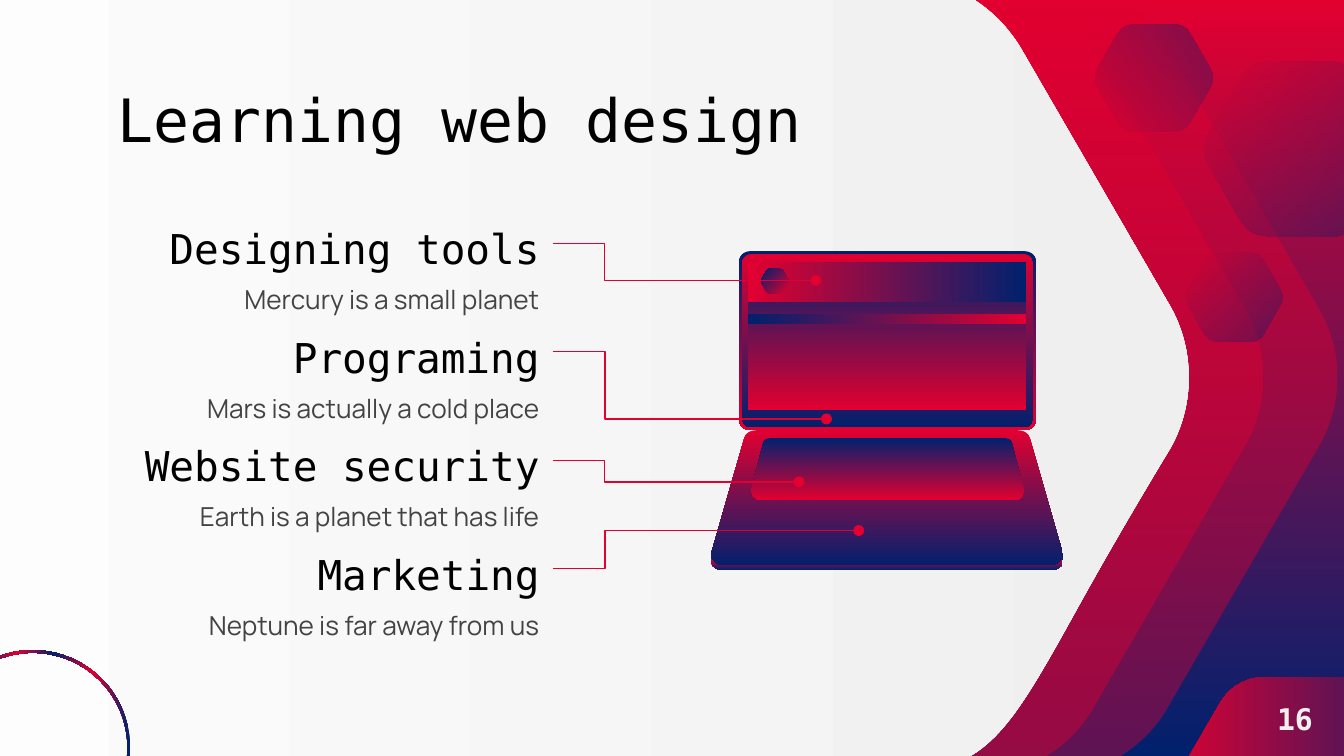
"""Build the "Learning web design" slide: a laptop diagram with four labelled parts."""
from lxml.etree import SubElement
from pptx import Presentation
from pptx.dml.color import RGBColor
from pptx.enum.shapes import MSO_CONNECTOR, MSO_SHAPE
from pptx.enum.text import MSO_ANCHOR, MSO_AUTO_SIZE, PP_ALIGN
from pptx.oxml.ns import qn
from pptx.util import Cm, Pt

RED = RGBColor(0xE2, 0x00, 0x30)
NAVY = RGBColor(0x00, 0x21, 0x6E)
WHITE = RGBColor(0xFF, 0xFF, 0xFF)
PALE = RGBColor(0xEF, 0xEF, 0xEF)
BLACK = RGBColor(0x00, 0x00, 0x00)
GREY = RGBColor(0x43, 0x43, 0x43)
MONO, SANS = "DejaVu Sans Mono", "Manrope"

WIDTH, HEIGHT = 25.4, 14.29
TITLE = "Learning web design"
PAGE_NUMBER = "16"
TOPICS = [
    ("Designing tools", "Mercury is a small planet", (15.42, 5.3)),
    ("Programing", "Mars is actually a cold place", (15.62, 7.92)),
    ("Website security", "Earth is a planet that has life", (15.1, 9.11)),
    ("Marketing", "Neptune is far away from us", (16.23, 10.03)),
]
TOPIC_LEFT, TOPIC_TOP, TOPIC_WIDTH = 1.98, 4.09, 8.47
TOPIC_STEP, ROW_HEIGHT, ELBOW_X = 2.05, 1.02, 11.43

TITLE_FORMAT = {"size": Pt(32), "name": MONO, "bold": False}
HEADING_FORMAT = {"size": Pt(22), "name": MONO}
DETAIL_FORMAT = {"size": Pt(14), "name": SANS}
NUMBER_FORMAT = {"size": Pt(16), "name": MONO, "bold": True}

HEXAGON = [
    [(33.1, 0)], [(27.5, 0), (22.4, 3.4), (19.5, 8.9)], [(2.7, 41.2)],
    [(0, 46.6), (0, 53.4), (2.7, 58.8)], [(7, 66.7), (10.3, 73.1), (12.9, 78.3)],
    [(22.5, 97.6), (23.8, 100), (39.3, 100)], [(66.7, 100)],
    [(72.3, 100), (77.6, 96.6), (80.3, 91.1)], [(97.1, 58.8)],
    [(100, 53.4), (100, 46.6), (97.1, 41.2)], [(80.3, 8.9)],
    [(77.6, 3.4), (72.3, 0), (66.7, 0)],
]
BASE_SIDE = [[(3.4, 100)], [(1.1, 100), (0, 95), (0.4, 91)], [(9.8, 5.9)],
             [(10.2, 2), (11.7, 0), (13.6, 0)]]
KEYS_SIDE = [[(3.4, 100)], [(1, 100), (0, 91), (0.2, 82.6)], [(4.4, 10.9)],
             [(4.4, 4), (5.9, 0), (7.4, 0)]]
LIP_SIDE = [[(3.4, 100)], [(1.1, 100), (0, 56), (0.4, 11)],
            [(0.8, 44), (1.9, 67), (3.4, 67)]]

RED_NAVY = [(0, RED), (100, NAVY)]
NAVY_RED = [(0, NAVY), (100, RED)]
RING = [(0, NAVY), (19, RED), (39, NAVY), (58, RED), (78, NAVY), (100, RED)]

CHEVRONS = [(8.61, -0.41, 16.79, 15.09), (7.21, -0.41, 16.79, 15.09)]
PANEL, PANEL_STRETCH = (5.79, -0.41, 16.79, 15.09), 10.59
NUMBER_TAB = (21.87, 12.8, 6.1, 5.46)
HEXAGONS = [((22.73, 1.17, 3.68, 3.3), 45, False), ((20.68, 0.46, 2.26, 2.03), 315, True),
            ((22.4, 4.78, 1.85, 1.68), 45, False)]
RING_FRAME = (-1.22, 12.29, 3.68, 3.68)
SCREEN = [
    (MSO_SHAPE.ROUNDED_RECTANGLE, (13.97, 4.75, 5.61, 3.38), NAVY_RED, 90),
    (MSO_SHAPE.ROUNDED_RECTANGLE, (14.02, 4.8, 5.51, 3.28), RED_NAVY, 90),
    (MSO_SHAPE.RECTANGLE, (14.14, 4.95, 5.25, 2.81), NAVY_RED, 90),
    (MSO_SHAPE.RECTANGLE, (14.14, 4.95, 5.25, 0.76), RED_NAVY, 0),
    (MSO_SHAPE.RECTANGLE, (14.14, 5.93, 5.25, 0.19), RED_NAVY, 180),
]
LOGO_HEXAGON = (14.38, 5.08, 0.53, 0.47)
LAPTOP_BODY = [
    (BASE_SIDE, (13.41, 8.13, 6.71, 2.59), RED_NAVY),
    (KEYS_SIDE, (14.19, 8.28, 5.17, 1.17), NAVY_RED),
    (LIP_SIDE, (13.42, 10.54, 6.69, 0.23), RED_NAVY),
]


def flip(segments, across=False, down=False):
    return [[(100 - x if across else x, 100 - y if down else y) for x, y in segment]
            for segment in segments]


def complete(side):
    """Add the mirrored right half to a left half drawn from bottom to top."""
    points = [point for segment in flip(side, across=True) for point in segment]
    sizes = [1] + [len(segment) for segment in side[:0:-1]]
    remaining = iter(points[::-1])
    return side + [[next(remaining) for _ in range(size)] for size in sizes]


def set_gradient(fill, element, stops, angle, alpha=100):
    fill.gradient()
    gradient = next(element.iter(qn("a:gradFill")))
    for child in list(gradient):
        gradient.remove(child)
    stop_list = SubElement(gradient, qn("a:gsLst"))
    for position, color in stops:
        stop = SubElement(stop_list, qn("a:gs"), pos=str(position * 1000))
        tint = SubElement(stop, qn("a:srgbClr"), val=str(color))
        if alpha < 100:
            SubElement(tint, qn("a:alpha"), val=str(alpha * 1000))
    SubElement(gradient, qn("a:lin"), ang=str(angle * 60000), scaled="0")


def paint(shape, stops, angle, alpha=100):
    shape.shadow.inherit = False
    shape.line.fill.background()
    set_gradient(shape.fill, shape.element, stops, angle, alpha)


def bend_lines(shape, segments):
    """Join each three lines that stand for a curve into one Bezier curve."""
    route = next(shape.element.iter(qn("a:path")))
    lines = iter(route.findall(qn("a:lnTo")))
    for segment in segments[1:]:
        parts = [next(lines) for _ in segment]
        if len(parts) == 3:
            curve = route.makeelement(qn("a:cubicBezTo"))
            route.replace(parts[0], curve)
            for part in parts:
                curve.append(part[0])
            for part in parts[1:]:
                route.remove(part)


def add_outline(page, segments, frame, stops, angle, alpha=100, stretch=0):
    left, top, width, height = frame
    corners = [(Cm(left + x * width / 100 - (stretch if x < 50 else 0)),
                Cm(top + y * height / 100)) for segment in segments for x, y in segment]
    builder = page.shapes.build_freeform(*corners[0])
    builder.add_line_segments(corners[1:], close=True)
    shape = builder.convert_to_shape()
    bend_lines(shape, segments)
    paint(shape, stops, angle, alpha)


def add_preset(page, kind, frame, stops, angle, adjustment=None):
    shape = page.shapes.add_shape(kind, *map(Cm, frame))
    if adjustment is not None:
        shape.adjustments[0] = adjustment
    paint(shape, stops, angle)


def write(box, text, font, color, para_format, anchor=MSO_ANCHOR.TOP):
    frame = box.text_frame
    frame_format = {"word_wrap": True, "auto_size": MSO_AUTO_SIZE.NONE, "vertical_anchor": anchor}
    for side in ("left", "right", "top", "bottom"):
        frame_format["margin_" + side] = Cm(0.25)
    para = frame.paragraphs[0]
    span = para.add_run()
    span.text = text
    span.font.color.rgb = color
    for target, values in ((frame, frame_format), (para, para_format), (span.font, font)):
        for name, value in values.items():
            setattr(target, name, value)


def add_text(page, frame, *content):
    box = page.shapes.add_textbox(*map(Cm, frame))
    write(box, *content)
    return box


def add_callout(page, heading, target):
    start = TOPIC_LEFT + TOPIC_WIDTH
    line = page.shapes.add_connector(MSO_CONNECTOR.ELBOW, Cm(start), heading.top,
                                     *map(Cm, target))
    line.begin_connect(heading, 3)
    line.line.color.rgb = RED
    line.line.width = Pt(0.75)
    SubElement(next(line.element.iter(qn("a:ln"))), qn("a:tailEnd"), type="oval")
    SubElement(line.element.spPr, qn("a:effectLst"))
    bend = round((ELBOW_X - start) / (target[0] - start) * 100000)
    guides = next(line.element.iter(qn("a:avLst")))
    SubElement(guides, qn("a:gd"), name="adj1", fmla=f"val {bend}")


def draw_backdrop(page):
    set_gradient(page.background.fill, page.element, RED_NAVY, 90)
    for frame in CHEVRONS:
        add_outline(page, HEXAGON, frame, [(0, RED), (100, RED)], 0, 41)
    add_outline(page, flip(HEXAGON, across=True), PANEL, [(0, WHITE), (100, PALE)], 0,
                stretch=PANEL_STRETCH)
    add_outline(page, HEXAGON, NUMBER_TAB, RED_NAVY, 0)
    for frame, angle, flipped in HEXAGONS:
        add_outline(page, flip(HEXAGON, down=flipped), frame, RED_NAVY, angle, 41)
    add_preset(page, MSO_SHAPE.DONUT, RING_FRAME, RING, 180, 0.014)


def draw_laptop(page):
    for kind, frame, stops, angle in SCREEN:
        corner = 0.06 if kind == MSO_SHAPE.ROUNDED_RECTANGLE else None
        add_preset(page, kind, frame, stops, angle, corner)
    add_outline(page, HEXAGON, LOGO_HEXAGON, RED_NAVY, 225)
    for side, frame, stops in LAPTOP_BODY:
        add_outline(page, complete(side), frame, stops, 90)


def main():
    deck = Presentation()
    deck.slide_width, deck.slide_height = Cm(WIDTH), Cm(HEIGHT)
    page = deck.slides.add_slide(deck.slide_layouts[5])
    draw_backdrop(page)

    title = page.shapes.title
    title.left, title.top, title.width, title.height = map(Cm, (1.98, 1.5, 21.44, 1.5))
    write(title, TITLE, TITLE_FORMAT, BLACK, {"alignment": PP_ALIGN.LEFT}, MSO_ANCHOR.MIDDLE)
    title.element.getparent().append(title.element)

    draw_laptop(page)
    for index, (heading, detail, target) in enumerate(TOPICS):
        top = TOPIC_TOP + index * TOPIC_STEP
        box = add_text(page, (TOPIC_LEFT, top, TOPIC_WIDTH, ROW_HEIGHT), heading, HEADING_FORMAT,
                       BLACK, {"alignment": PP_ALIGN.RIGHT, "line_spacing": 0.9})
        add_text(page, (TOPIC_LEFT, top + ROW_HEIGHT, TOPIC_WIDTH, ROW_HEIGHT), detail,
                 DETAIL_FORMAT, GREY, {"alignment": PP_ALIGN.RIGHT, "space_after": Pt(16)})
        add_callout(page, box, target)
    add_text(page, (23.55, 12.8, 1.85, 1.57), PAGE_NUMBER, NUMBER_FORMAT, PALE,
             {"alignment": PP_ALIGN.CENTER}, MSO_ANCHOR.MIDDLE)
    deck.save("out.pptx")


if __name__ == "__main__":
    main()
